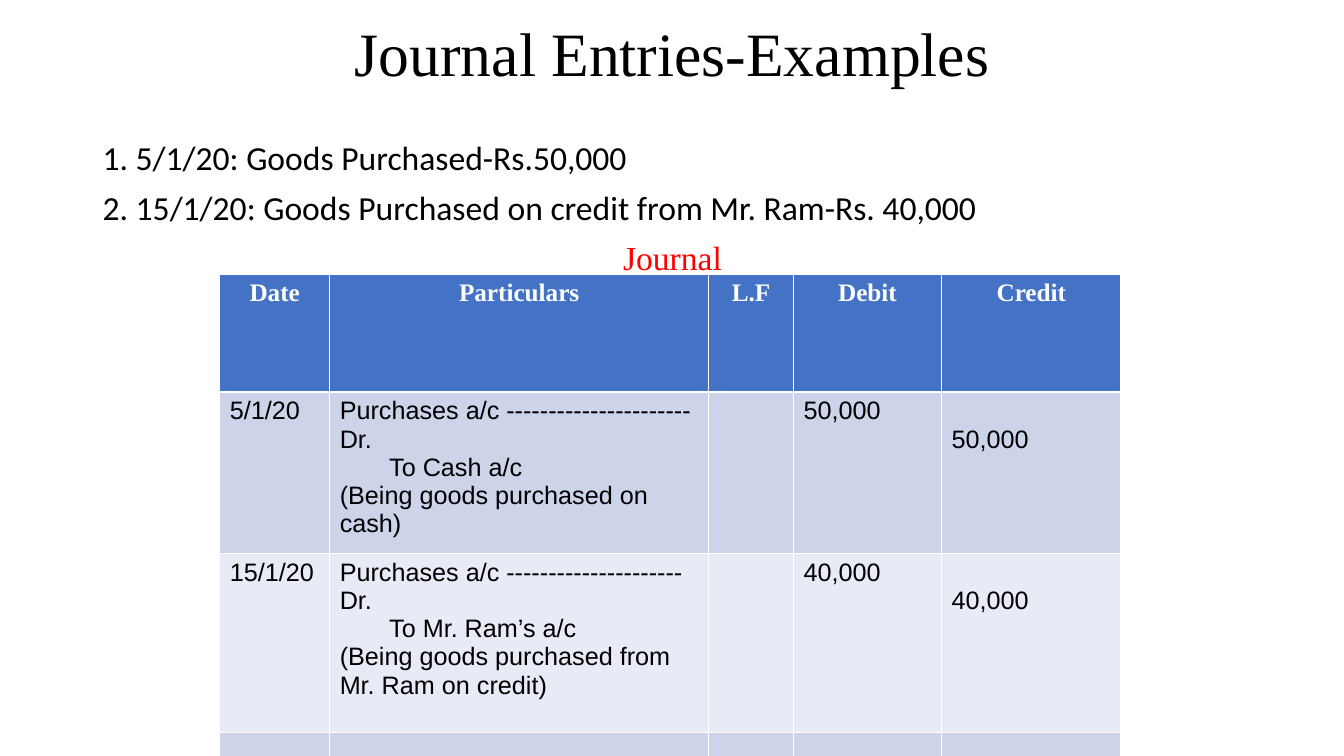
from pptx import Presentation
from pptx.dml.color import RGBColor
from pptx.enum.text import MSO_ANCHOR, PP_ALIGN
from pptx.util import Inches, Pt

COLORS = {"text": "000000", "accent": "FF0000", "head": "4472C4",
          "head_text": "FFFFFF", "band1": "CDD4EA", "band2": "E8EBF5"}
SERIF, SANS, BODY = "Times New Roman", "Arial", "Calibri"


def add_run(p, text, size, font, color, bold=False):
    r = p.add_run()
    r.text = text
    r.font.size, r.font.name, r.font.bold = Pt(size), font, bold
    r.font.color.rgb = RGBColor.from_string(COLORS[color])


prs = Presentation()
prs.slide_width, prs.slide_height = Inches(13.33), Inches(7.5)
s = prs.slides.add_slide(prs.slide_layouts[5])
left, width = Inches(0.92), Inches(11.5)

# Title
title = s.shapes.title
title.left, title.top, title.width, title.height = left, Inches(0.11), width, Inches(0.91)
title.text_frame.vertical_anchor = MSO_ANCHOR.MIDDLE
p = title.text_frame.paragraphs[0]
p.alignment, p.line_spacing = PP_ALIGN.CENTER, 0.9
add_run(p, "Journal Entries-Examples", 44, SERIF, "text")

# Transactions and table caption
tf = s.shapes.add_textbox(left, Inches(1.35), width, Inches(5.41)).text_frame
tf.word_wrap = True
lines = [
    ("1. 5/1/20: Goods Purchased-Rs.50,000", BODY, "text", PP_ALIGN.LEFT),
    ("2. 15/1/20: Goods Purchased on credit from Mr. Ram-Rs. 40,000", BODY, "text", PP_ALIGN.LEFT),
    ("Journal", SERIF, "accent", PP_ALIGN.CENTER),
]
for i, (text, font, color, align) in enumerate(lines):
    p = tf.add_paragraph() if i else tf.paragraphs[0]
    p.alignment, p.line_spacing, p.space_before = align, 0.9, Pt(10 if i else 0)
    add_run(p, text, 24, font, color)

# Journal table
cols = [1.09, 3.76, 0.84, 1.47, 1.78]
heights = [1.17, 1.5, 1.78, 0.33]
rows = [
    ["Date", "Particulars", "L.F", "Debit", "Credit"],
    ["5/1/20", "Purchases a/c ----------------------Dr.\nTo Cash a/c\n"
     "(Being goods purchased on cash)", "", "50,000", "50,000"],
    ["15/1/20", "Purchases a/c --------------------- Dr.\nTo Mr. Ram’s a/c\n"
     "(Being goods purchased from Mr. Ram on credit)", "", "40,000", "40,000"],
    [""] * 5,
]
table = s.shapes.add_table(len(rows), len(cols), Inches(2.18), Inches(2.72),
                           Inches(sum(cols)), Inches(sum(heights))).table
for column, w in zip(table.columns, cols):
    column.width = Inches(w)
for i, (row, h) in enumerate(zip(rows, heights)):
    table.rows[i].height = Inches(h)
    fill = "head" if i == 0 else "band1" if i % 2 else "band2"
    for j, text in enumerate(row):
        cell = table.cell(i, j)
        cell.fill.solid()
        cell.fill.fore_color.rgb = RGBColor.from_string(COLORS[fill])
        if i and j == 4:  # credit amounts sit one line lower
            cell.margin_top = Inches(0.33)
        for k, line in enumerate(text.split("\n") if text else []):
            p = cell.text_frame.add_paragraph() if k else cell.text_frame.paragraphs[0]
            if i == 0:
                p.alignment = PP_ALIGN.CENTER
                add_run(p, line, 18, SERIF, "head_text", True)
            else:
                add_run(p, line, 18, SANS, "text")
            if line.startswith("To "):  # indent the credited account
                p._p.get_or_add_pPr().set("marL", str(Inches(0.49)))

prs.save("out.pptx")
